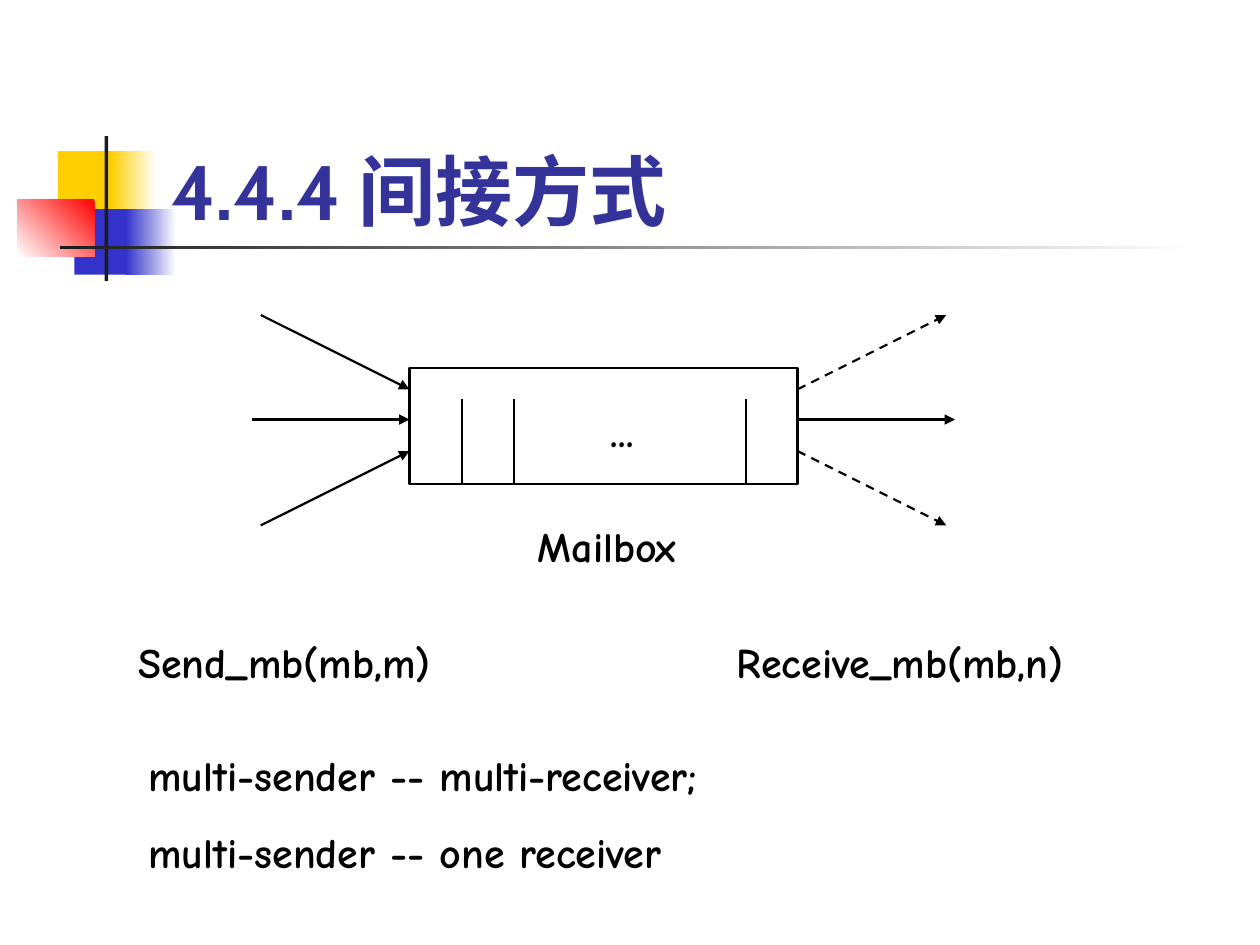
from lxml import etree
from pptx import Presentation
from pptx.dml.color import RGBColor
from pptx.enum.dml import MSO_LINE
from pptx.enum.shapes import MSO_CONNECTOR, MSO_SHAPE
from pptx.enum.text import MSO_ANCHOR, MSO_AUTO_SIZE, PP_ALIGN
from pptx.oxml.ns import qn
from pptx.util import Inches, Pt

RECTANGLE = MSO_SHAPE.RECTANGLE
STRAIGHT = MSO_CONNECTOR.STRAIGHT
DASH = MSO_LINE.DASH
TOP, BOTTOM = MSO_ANCHOR.TOP, MSO_ANCHOR.BOTTOM
GROW, FIXED = MSO_AUTO_SIZE.SHAPE_TO_FIT_TEXT, MSO_AUTO_SIZE.NONE
LEFT = PP_ALIGN.LEFT
BLACK, WHITE = "000000", "FFFFFF"
YELLOW, BLUE, RED, CHARCOAL = "FFCF01", "3333CC", "FF0000", "1C1C1C"
TITLE_FONT, BODY_FONT = "Cabin", "Comic Neue"
LINE_WIDTH = 1.25


def paint(color_format, color):
    """Set a colour from a hex string."""
    color_format.rgb = RGBColor.from_string(color)


def add_rectangle(page, box, fill, angle=None, line=None):
    """Add a rectangle with a solid fill, or a gradient when given an angle."""
    shape = page.shapes.add_shape(RECTANGLE, *map(Inches, box))
    shape.shadow.inherit = False
    if angle is None:
        shape.fill.solid()
        paint(shape.fill.fore_color, fill)
    else:
        shape.fill.gradient()
        shape.fill.gradient_angle = angle
        for stop, color, position in zip(shape.fill.gradient_stops, fill, (0, 1)):
            paint(stop.color, color)
            stop.position = position
    if line:
        paint(shape.line.color, line)
        shape.line.width = Pt(LINE_WIDTH)
    else:
        shape.line.fill.background()
    return shape


def add_line(page, start, end, arrow=False, dashed=False):
    """Add a black line, with an arrowhead at its end if wanted."""
    line = page.shapes.add_connector(STRAIGHT, *map(Inches, (*start, *end)))
    paint(line.line.color, BLACK)
    line.line.width = Pt(LINE_WIDTH)
    if dashed:
        line.line.dash_style = DASH
    if arrow:
        outline = line.line._get_or_add_ln()
        etree.SubElement(outline, qn("a:tailEnd"), type="triangle")
    etree.SubElement(line._element.spPr, qn("a:effectLst"))


def write(shape, text, size=24, font=BODY_FONT, color=BLACK, anchor=TOP, fit=GROW, before=15):
    """Put bold, left-aligned text into a shape."""
    frame = shape.text_frame
    frame.text = text
    frame.word_wrap = True
    frame.vertical_anchor = anchor
    frame.auto_size = fit
    for para in frame.paragraphs:
        para.alignment = LEFT
        para.space_before = Pt(before)
        for span in para.runs:
            span.font.size = Pt(size)
            span.font.name = font
            span.font.bold = True
            paint(span.font.color, color)


def add_text(page, box, text, **style):
    """Add a text box."""
    write(page.shapes.add_textbox(*map(Inches, box)), text, **style)


def draw_ornament(page, left, top):
    """Draw the coloured blocks and the crossing bars beside the title."""
    blocks = [
        (0.32, 0.12, 0.48, 0.52, YELLOW, None),
        (0.74, 0.12, 0.36, 0.52, (WHITE, YELLOW), 180),
        (0.45, 0.58, 0.46, 0.52, BLUE, None),
        (0.86, 0.58, 0.4, 0.52, (WHITE, BLUE), 180),
        (0, 0.5, 0.61, 0.46, (RED, WHITE), 225),
        (0.69, 0, 0.03, 1.15, CHARCOAL, None),
        (0.34, 0.87, 9, 0.03, (WHITE, CHARCOAL), 180),
    ]
    for x, y, width, height, fill, angle in blocks:
        add_rectangle(page, (left + x, top + y, width, height), fill, angle)


def draw_mailbox(page, left, top, width, height):
    """Draw the mailbox with its slots, senders and receivers."""
    right, bottom, middle = left + width, top + height, top + 0.41
    add_rectangle(page, (left, top, width, height), WHITE, line=BLACK)
    for reach, outer, inner in ((1.25, 0, 0), (1.18, 0.84, 0.25), (1.18, -0.83, -0.24)):
        add_line(page, (left - reach, middle + outer), (left, middle + inner), arrow=True)
        add_line(page, (right, middle + inner), (right + reach, middle + outer),
                 arrow=True, dashed=outer != 0)
    for offset in (0.42, 0.83, 2.67):
        add_line(page, (left + offset, top + 0.25), (left + offset, bottom))
    write(add_rectangle(page, (left + 1.5, top + 0.25, 0.5, 0.5), WHITE), "...")
    add_text(page, (left + 0.92, top + 1.16, 1.58, 0.5), "Mailbox")


def draw_notes(page, left, top):
    """Write the two primitives and the sender and receiver pairings."""
    add_text(page, (left, top, 3.25, 0.5), "Send_mb(mb,m)")
    add_text(page, (left + 4.75, top, 3.42, 0.5), "Receive_mb(mb,n)")
    add_text(page, (left + 0.08, top + 0.9, 7.58, 1.11),
             "multi-sender -- multi-receiver;\nmulti-sender -- one receiver")


def main():
    """Build and save the slide."""
    deck = Presentation()
    deck.slide_width, deck.slide_height = Inches(10), Inches(7.5)
    page = deck.slides.add_slide(deck.slide_layouts[6])
    draw_ornament(page, 0.14, 1.08)
    add_text(page, (1.26, 0.67, 8.52, 1.25), "4.4.4 间接方式", size=44, font=TITLE_FONT,
             color="333399", anchor=BOTTOM, fit=FIXED, before=0)
    draw_mailbox(page, 3.25, 2.92, 3.08, 0.92)
    draw_notes(page, 1, 5)
    deck.save("out.pptx")


main()
